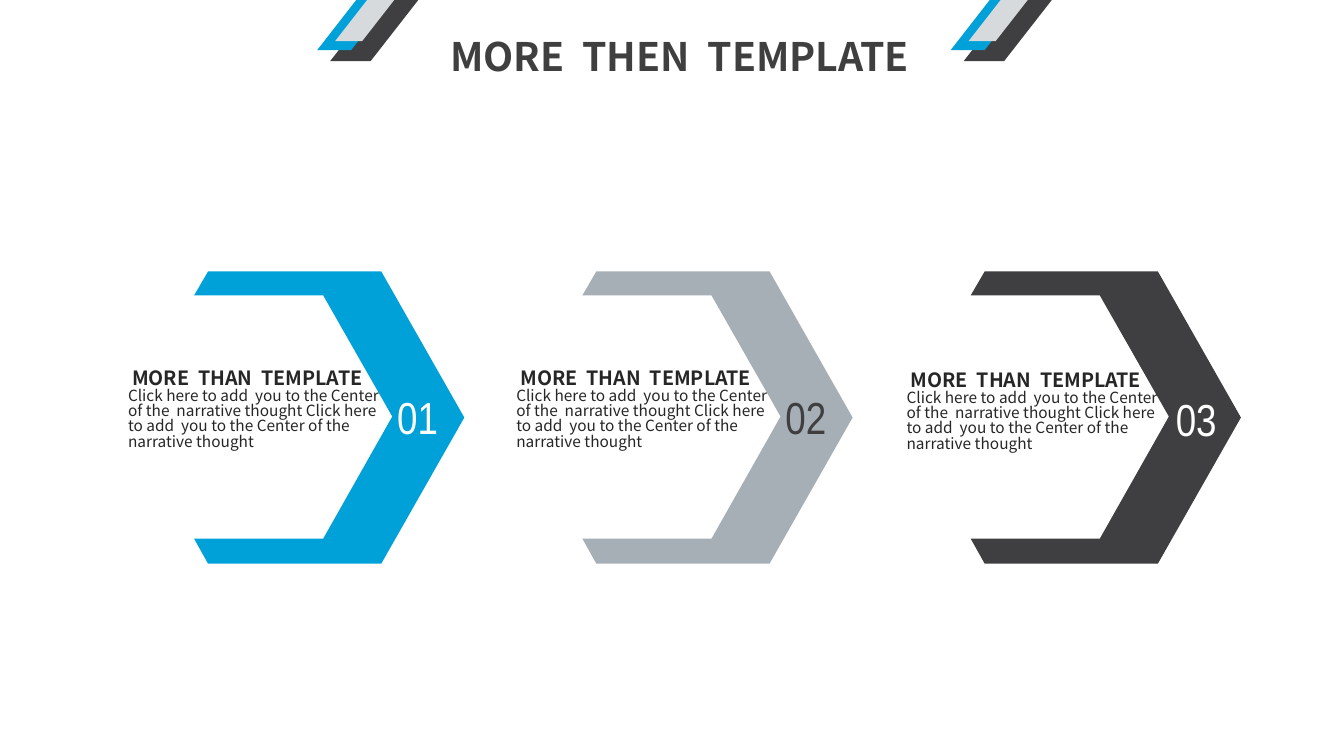
from pptx import Presentation
from pptx.dml.color import RGBColor
from pptx.enum.shapes import MSO_SHAPE
from pptx.util import Pt

EMU_PER_PX = 9080
BLUE, GREY, DARK, LIGHT, WHITE = "00A1D8", "A6AFB6", "3F3E40", "D6DADD", "FFFFFF"
SANS = "Noto Sans CJK JP"

TITLE_FORMAT = {"name": SANS, "size": Pt(28), "bold": True}
HEADING_FORMAT = {"name": SANS, "size": Pt(14), "bold": True}
BODY_FORMAT = {"name": SANS, "size": Pt(11), "bold": False}
NUMBER_FORMAT = {"name": "Arial Narrow", "size": Pt(32), "bold": False}

HEADING = "MORE  THAN  TEMPLATE"
BODY_LINES = [
    "Click here to add  you to the Center",
    "of the  narrative thought Click here",
    "to add  you to the Center of the",
    "narrative thought",
]

# left, width, height, colour
STRIPES = [(330, 88, 61, DARK), (317, 73, 50, BLUE), (335, 59, 41, LIGHT)]
STRIPE_GROUP_STEP = 633

CHEVRON_OUTLINE = [
    (14, 0), (187, 0), (270, 146), (187, 292), (14, 292),
    (0, 267), (129, 267), (198, 145), (129, 24), (0, 24),
]
CHEVRON_LEFT, CHEVRON_TOP, CHEVRON_STEP = 194, 271, 388

# number, chevron colour, number colour, shift of the text right and down
STEPS = [("01", BLUE, WHITE, 0), ("02", GREY, DARK, 0), ("03", DARK, WHITE, 2)]


def px(length):
    return round(length * EMU_PER_PX)


def colour(hex_value):
    return RGBColor.from_string(hex_value)


def paint(shape, hex_value):
    shape.shadow.inherit = False
    shape.fill.solid()
    shape.fill.fore_color.rgb = colour(hex_value)
    shape.line.fill.background()


def add_text_box(page, left, top, width, height):
    box = page.shapes.add_textbox(px(left), px(top), px(width), px(height))
    box.text_frame.word_wrap = True
    return box.text_frame


def write(para, text, hex_value, text_format):
    span = para.add_run()
    span.text = text
    span.font.color.rgb = colour(hex_value)
    for attribute, value in text_format.items():
        setattr(span.font, attribute, value)


def add_stripe(page, left, width, height, hex_value):
    stripe = page.shapes.add_shape(
        MSO_SHAPE.PARALLELOGRAM, px(left), 0, px(width), px(height))
    stripe.adjustments[0] = 0.78
    paint(stripe, hex_value)


def add_chevron(page, left, hex_value):
    points = [(left + x, CHEVRON_TOP + y) for x, y in CHEVRON_OUTLINE]
    builder = page.shapes.build_freeform(*points[0], scale=EMU_PER_PX)
    builder.add_line_segments(points[1:], close=True)
    paint(builder.convert_to_shape(), hex_value)


def add_number(page, left, top, number, hex_value):
    frame = add_text_box(page, left, top, 72, 64)
    write(frame.paragraphs[0], number, hex_value, NUMBER_FORMAT)


def add_description(page, left, top):
    frame = add_text_box(page, left, top, 276, 163)
    heading = frame.paragraphs[0]
    heading._p.get_or_add_pPr().set("marL", str(px(4)))
    write(heading, HEADING, "262626", HEADING_FORMAT)
    for line in BODY_LINES:
        write(frame.add_paragraph(), line, "262626", BODY_FORMAT)
    for para in frame.paragraphs:
        para.line_spacing = 0.83


def main():
    deck = Presentation()
    deck.slide_width, deck.slide_height = px(1343), px(755)
    page = deck.slides.add_slide(deck.slide_layouts[6])

    title = add_text_box(page, 440, 27, 490, 64)
    write(title.paragraphs[0], "MORE  THEN  TEMPLATE", "3F3F3F", TITLE_FORMAT)

    for shift in (0, STRIPE_GROUP_STEP):
        for left, width, height, hex_value in STRIPES:
            add_stripe(page, left + shift, width, height, hex_value)

    for index, (number, fill, number_colour, nudge) in enumerate(STEPS):
        offset = index * CHEVRON_STEP
        add_chevron(page, CHEVRON_LEFT + offset, fill)
        add_number(page, 387 + offset + nudge, 384 + nudge, number, number_colour)
        add_description(page, 118 + offset + nudge, 364 + nudge)

    deck.save("out.pptx")


if __name__ == "__main__":
    main()
